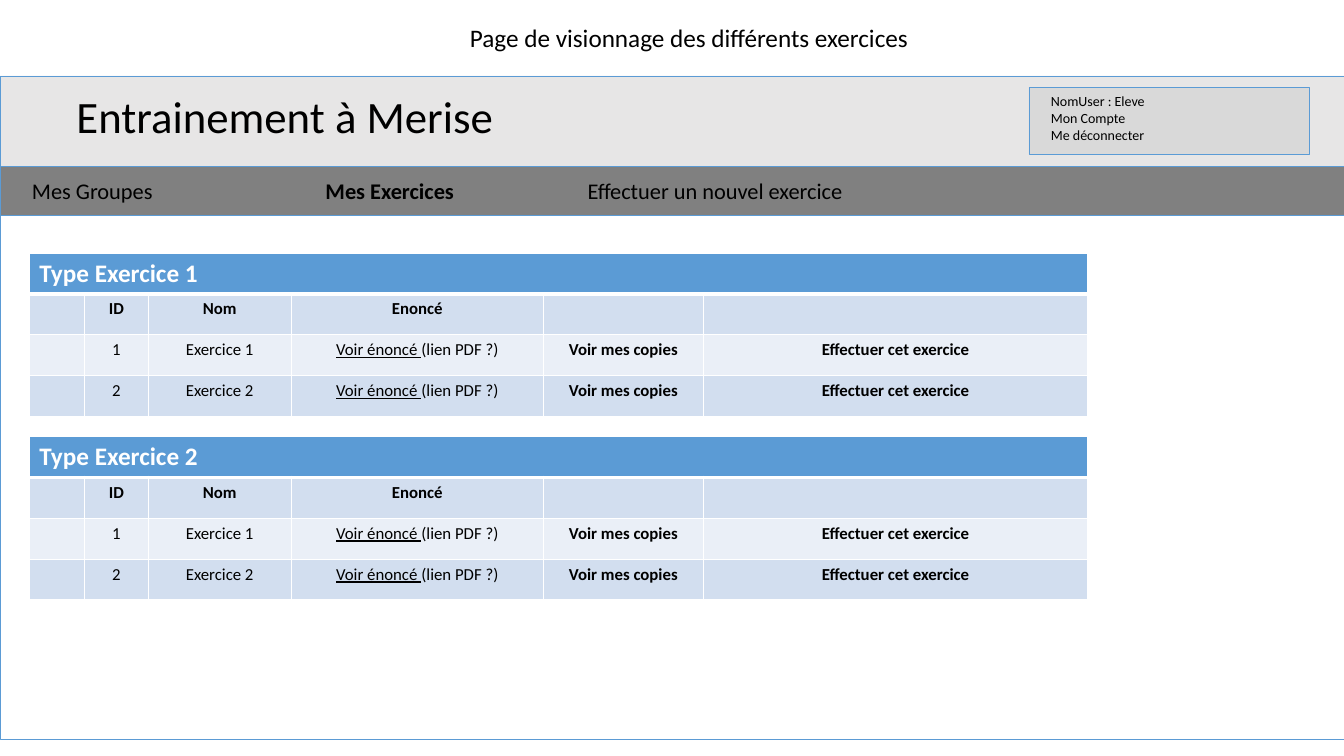
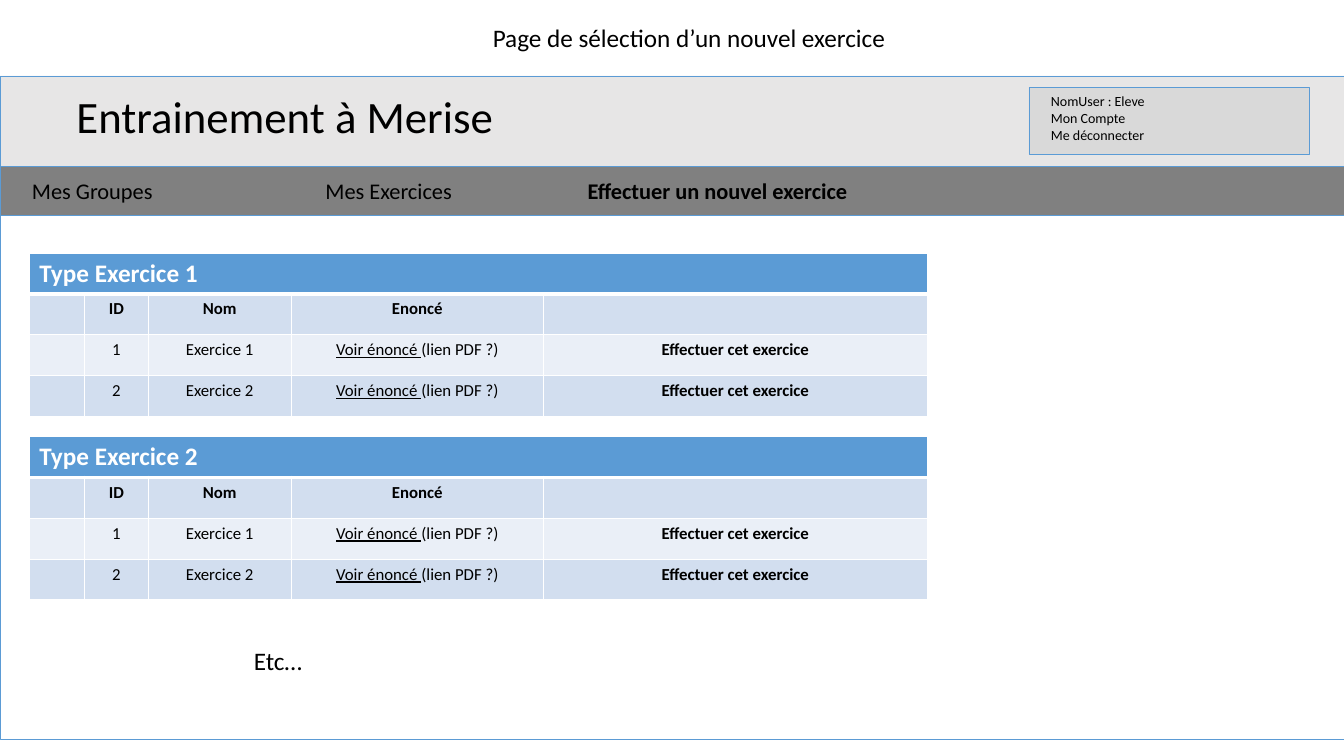
from lxml.etree import SubElement as Sub
from pptx import Presentation
from pptx.dml.color import RGBColor as Rgb
from pptx.enum.shapes import MSO_SHAPE as Kind
from pptx.enum.text import PP_ALIGN as Align
from pptx.oxml.ns import qn
from pptx.util import Pt

HUES = {
    "ink": "000000", "white": "FFFFFF", "blue": "5B9BD5", "pale": "D2DEEF",
    "light": "EAEFF7", "band": "E7E6E6", "user": "D9D9D9", "menu": "808080",
}
WIDE, HIGH = 960, 540
ROW = 29.2
LEFT = 20.9
TOPS = (180.7, 311.8)
MENU = (
    ("Mes Groupes", 15.8, 238),
    ("Mes Exercices", 225.4, 176),
    ("Effectuer un nouvel exercice", 412.6, 214),
)
LINK, NOTE = "Voir énoncé ", "(lien PDF ?)"
COPY, START = "Voir mes copies", "Effectuer cet exercice"
COLS = (39.6, 45.4, 102.2, 180)


def hue(name):
    return Rgb.from_string(HUES[name])


class Deck:
    font = "Calibri"

    def __init__(self):
        self.prs = Presentation()
        self.prs.slide_width, self.prs.slide_height = Pt(WIDE), Pt(HIGH)
        self.slide = None

    def add(self):
        self.slide = self.prs.slides.add_slide(self.prs.slide_layouts[6])

    def style(self, frame, size, bold=False, color="ink", align=Align.LEFT):
        for para in frame.paragraphs:
            para.alignment = align
            for run in para.runs:
                font = run.font
                font.name, font.size, font.bold = self.font, Pt(size), bold
                font.color.rgb = hue(color)

    def text(self, words, x, y, w, h, size, wrap=True, **look):
        box = self.slide.shapes.add_textbox(Pt(x), Pt(y), Pt(w), Pt(h))
        frame = box.text_frame
        frame.word_wrap = wrap
        frame.text = words
        self.style(frame, size, **look)

    def rect(self, x, y, w, h, fill=None):
        box = self.slide.shapes.add_shape(
            Kind.RECTANGLE, Pt(x), Pt(y), Pt(w), Pt(h))
        box.shadow.inherit = False
        if fill:
            box.fill.solid()
            box.fill.fore_color.rgb = hue(fill)
        else:
            box.fill.background()
        box.line.color.rgb = hue("blue")
        box.line.width = Pt(0.5)

    def paint(self, cell, fill, base=1):
        props = cell._tc.get_or_add_tcPr()
        for side, width in (("L", 1), ("R", 1), ("T", 1), ("B", base)):
            line = Sub(props, qn("a:ln" + side), w=str(Pt(width)))
            solid = Sub(line, qn("a:solidFill"))
            Sub(solid, qn("a:srgbClr"), val=HUES["white"])
        cell.fill.solid()
        cell.fill.fore_color.rgb = hue(fill)

    def table(self, name, y, acts):
        cols = COLS + tuple(width for _, width in acts)
        labels = [label for label, _ in acts]
        rows = [["", "ID", "Nom", "Enoncé"] + [""] * len(acts)]
        rows += [["", str(n), f"Exercice {n}", LINK] + labels for n in (1, 2)]
        count = len(rows) + 1
        grid = self.slide.shapes.add_table(
            count, len(cols), Pt(LEFT), Pt(y), Pt(sum(cols)),
            Pt(ROW * count)).table
        for col, width in zip(grid.columns, cols):
            col.width = Pt(width)
        for row in grid.rows:
            row.height = Pt(ROW)

        head = grid.cell(0, 0)
        head.merge(grid.cell(0, len(cols) - 1))
        for c in range(len(cols)):
            self.paint(grid.cell(0, c), "blue", 3)
        head.text_frame.text = name
        self.style(head.text_frame, 18, True, "white")

        for r, row in enumerate(rows, 1):
            for c, words in enumerate(row):
                cell = grid.cell(r, c)
                self.paint(cell, "pale" if r % 2 else "light")
                frame = cell.text_frame
                frame.text = words
                if words == LINK:
                    para = frame.paragraphs[0]
                    para.runs[0].font.underline = True
                    para.add_run().text = NOTE
                bold = r == 1 or c >= len(COLS)
                self.style(frame, 12, bold, align=Align.CENTER)

    def page(self, title, here, acts):
        self.add()
        self.text(title, 184.4, 12.4, 615.6, 29, 18, align=Align.CENTER)
        self.rect(0, 154, WIDE, 374)
        for n, top in enumerate(TOPS, 1):
            self.table(f"Type Exercice {n}", top, acts)
        self.rect(0, 54.2, WIDE, 64.6, "band")
        self.text("Entrainement à Merise", 47.5, 59.6, 424, 46, 32)
        self.rect(735, 62.4, 200, 47.8, "user")
        self.text("NomUser : Eleve\nMon Compte\nMe déconnecter",
                  743.6, 62.6, 164, 44, 10)
        self.rect(0, 118.8, WIDE, 35.2, "menu")
        for n, (label, x, w) in enumerate(MENU):
            self.text(label, x, 123.1, w, 26.6, 16, bold=n == here)


deck = Deck()
start = (START, 274.4)
deck.page("Page de visionnage des différents exercices", 1,
          [(COPY, 114.5), start])
deck.page("Page de sélection d’un nouvel exercice", 2, [start])
deck.text("Etc…", 174.2, 457.2, 51, 29, 18, wrap=False)
deck.prs.save("out.pptx")
